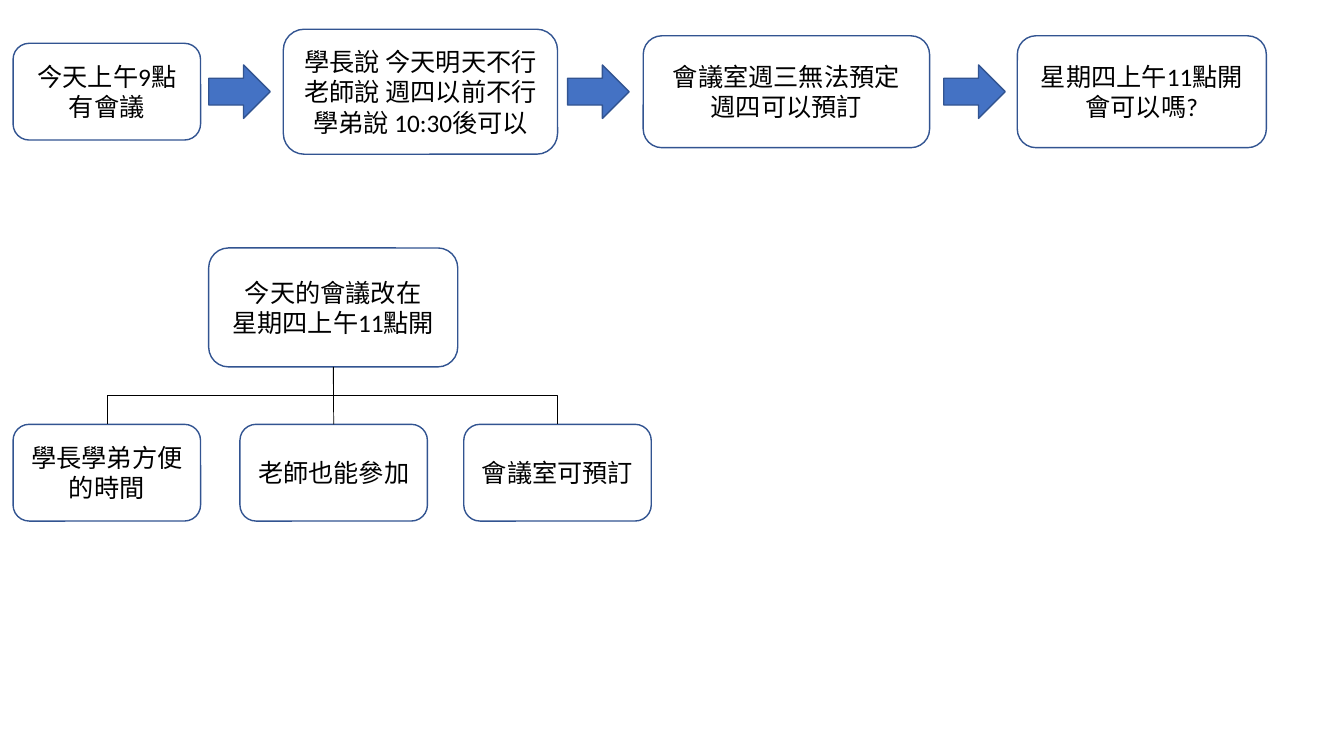
from pptx import Presentation
from pptx.dml.color import RGBColor
from pptx.enum.shapes import MSO_CONNECTOR, MSO_SHAPE
from pptx.enum.text import MSO_ANCHOR, PP_ALIGN
from pptx.oxml.ns import qn
from pptx.util import Pt
from lxml.etree import SubElement

EMU_PER_PX = 9144
WHITE = RGBColor(0xFF, 0xFF, 0xFF)
BLACK = RGBColor(0, 0, 0)
BLUE = RGBColor(0x44, 0x72, 0xC4)
OUTLINE = RGBColor(0x32, 0x54, 0x91)

STEPS = [
    (0, 186, 96, ["今天上午9點有會議"]),
    (268, 272, 124, ["學長說 今天明天不行", "老師說 週四以前不行", "學弟說 10:30後可以"]),
    (625, 284, 111, ["會議室週三無法預定", "週四可以預訂"]),
    (996, 247, 111, ["星期四上午11點開會可以嗎?"]),
]
ARROW_LEFTS = [194, 550, 923]
DECISION = ["今天的會議改在", "星期四上午11點開"]
REASONS = [(0, "學長學弟方便的時間"), (225, "老師也能參加"), (447, "會議室可預訂")]


def px(length):
    return round(length * EMU_PER_PX)


def add_block(group, kind, box, fill):
    shape = group.shapes.add_shape(kind, *map(px, box))
    shape.shadow.inherit = False
    shape.fill.solid()
    shape.fill.fore_color.rgb = fill
    shape.line.color.rgb = OUTLINE
    shape.line.width = Pt(1)
    return shape


def add_card(group, box, lines):
    card = add_block(group, MSO_SHAPE.ROUNDED_RECTANGLE, box, WHITE)
    frame = card.text_frame
    frame.word_wrap = True
    frame.vertical_anchor = MSO_ANCHOR.MIDDLE
    for index, line in enumerate(lines):
        paragraph = frame.add_paragraph() if index else frame.paragraphs[0]
        paragraph.alignment = PP_ALIGN.CENTER
        run = paragraph.add_run()
        run.text = line
        run.font.name = "Calibri"
        run.font.size = Pt(18)
        run.font.color.rgb = BLACK
    return card


def add_line(group, kind, *ends):
    connector = group.shapes.add_connector(kind, *map(px, ends))
    connector.line.color.rgb = BLACK
    connector.line.width = Pt(0.5)
    SubElement(connector._element.spPr, qn("a:effectLst"))
    return connector


def add_branch(group, start_x, start_y, end_x, end_y):
    center_x, center_y = (start_x + end_x) / 2, (start_y + end_y) / 2
    half_run = abs(end_x - start_x) / 2
    to_right = end_x > start_x
    half_drop = (end_y - start_y) / 2 * (1 if to_right else -1)
    branch = add_line(group, MSO_CONNECTOR.ELBOW,
                      center_x + half_drop, center_y - half_run,
                      center_x - half_drop, center_y + half_run)
    degrees = 270 if to_right else 90
    branch._element.spPr.find(qn("a:xfrm")).set("rot", str(degrees * 60000))


def add_process(slide, left, top, height):
    group = slide.shapes.add_group_shape()
    for offset, width, card_height, lines in STEPS:
        card_top = top + (height - card_height) / 2
        add_card(group, (left + offset, card_top, width, card_height), lines)
    arrow_width, arrow_height = 61, 53
    for offset in ARROW_LEFTS:
        arrow_top = top + (height - arrow_height) / 2
        add_block(group, MSO_SHAPE.RIGHT_ARROW,
                  (left + offset, arrow_top, arrow_width, arrow_height), BLUE)


def add_tree(slide, left, top, height):
    group = slide.shapes.add_group_shape()
    card_width, card_height = 186, 96
    card_top = top + height - card_height
    cards = [add_card(group, (left + offset, card_top, card_width, card_height), [text])
             for offset, text in REASONS]
    root_left, root_width, root_height = left + 194, 247, 118
    root = add_card(group, (root_left, top, root_width, root_height), DECISION)
    root_x, root_bottom = root_left + root_width / 2, top + root_height
    for offset, text in (REASONS[0], REASONS[-1]):
        add_branch(group, root_x, root_bottom, left + offset + card_width / 2, card_top)
    trunk = add_line(group, MSO_CONNECTOR.STRAIGHT, root_x, root_bottom, root_x, card_top)
    trunk.begin_connect(root, 2)
    trunk.end_connect(cards[1], 0)


def main():
    presentation = Presentation()
    presentation.slide_width = px(1333)
    presentation.slide_height = px(750)
    slide = presentation.slides.add_slide(presentation.slide_layouts[6])
    add_process(slide, 13, 29, 124)
    add_tree(slide, 13, 246, 271)
    presentation.save("out.pptx")


if __name__ == "__main__":
    main()
